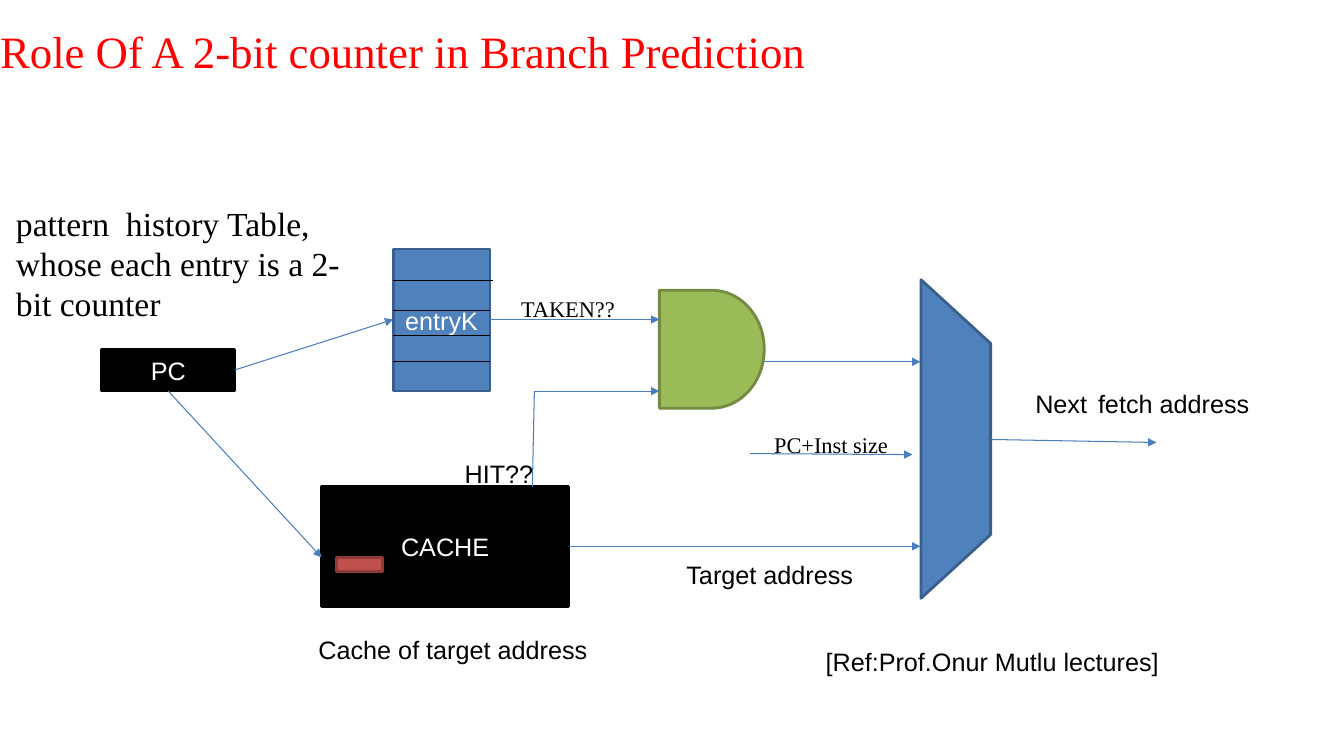
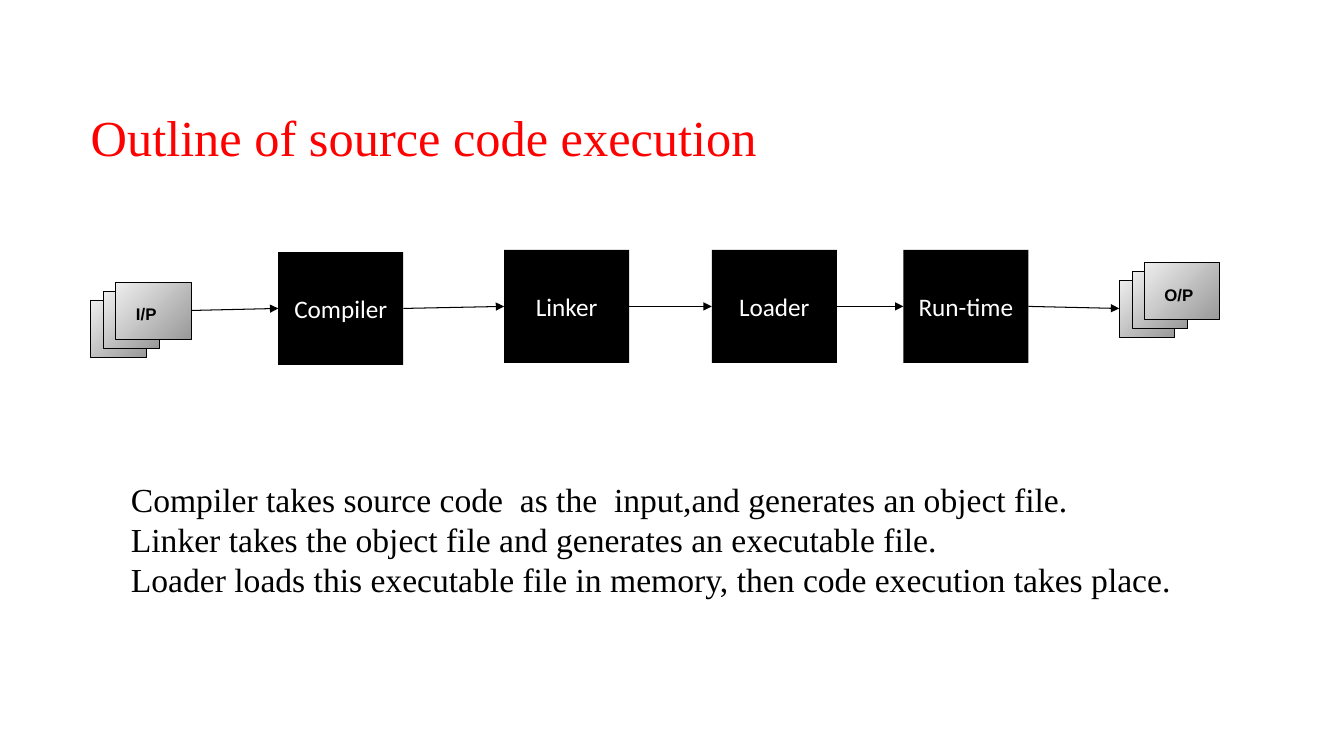
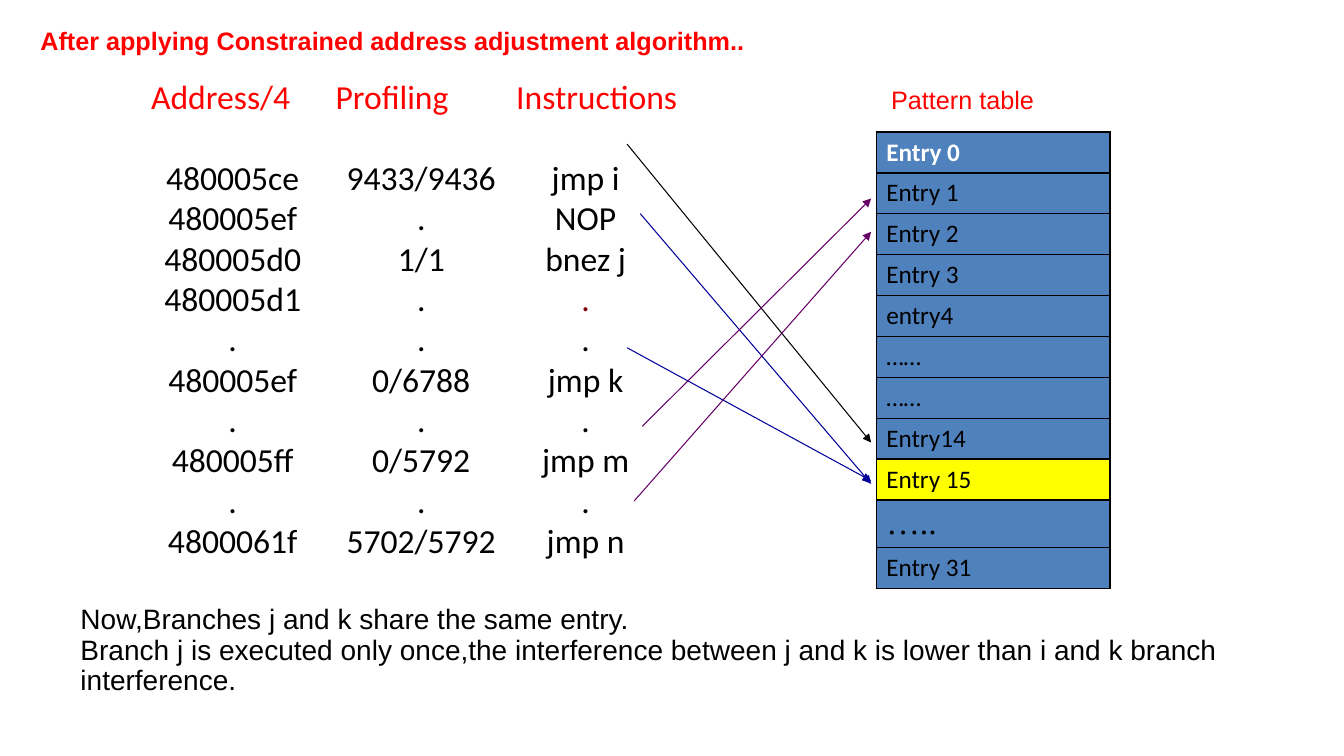
"""Build three slides on branch prediction and source code execution."""
from dataclasses import dataclass

from lxml import etree
from pptx import Presentation
from pptx.dml.color import RGBColor
from pptx.enum.shapes import MSO_CONNECTOR, MSO_SHAPE
from pptx.enum.text import MSO_ANCHOR, MSO_AUTO_SIZE, PP_ALIGN
from pptx.oxml.ns import qn
from pptx.util import Inches, Pt

RECT = MSO_SHAPE.RECTANGLE
DELAY = MSO_SHAPE.FLOWCHART_DELAY
MUX = MSO_SHAPE.FLOWCHART_MANUAL_OPERATION
STRAIGHT = MSO_CONNECTOR.STRAIGHT
LEFT, CENTER, JUSTIFY = PP_ALIGN.LEFT, PP_ALIGN.CENTER, PP_ALIGN.JUSTIFY
TOP, MIDDLE = MSO_ANCHOR.TOP, MSO_ANCHOR.MIDDLE
NO_FIT, GROW = MSO_AUTO_SIZE.NONE, MSO_AUTO_SIZE.SHAPE_TO_FIT_TEXT
TITLE_ONLY = 5


@dataclass(frozen=True)
class Theme:
    """Colours, fonts and type sizes of the deck."""
    red: str = "FF0000"
    black: str = "000000"
    white: str = "FFFFFF"
    blue: str = "4F81BD"
    blue_edge: str = "3A5F8C"
    wire: str = "4B7EBC"
    green: str = "9BBB59"
    green_edge: str = "738A42"
    brick: str = "C0504D"
    brick_edge: str = "8E3B39"
    yellow: str = "FFFF00"
    navy: str = "000099"
    purple: str = "660066"
    maroon: str = "800000"
    page_light: str = "EEEEEE"
    page_dark: str = "999999"
    serif: str = "Times New Roman"
    sans: str = "Arial"
    body: str = "Calibri"
    small: int = 12
    note: int = 16
    label: int = 18
    remark: int = 20
    text: int = 24
    wide_gap: int = 28
    heading: int = 32
    display: int = 36
    hairline: float = 0.75
    edge: float = 2


T = Theme()


@dataclass(frozen=True)
class Style:
    """Type style of a piece of text."""
    size: int = T.label
    font: str = T.sans
    color: str = T.black
    bold: bool = False


@dataclass(frozen=True)
class Box:
    """A preset shape, its place and its label."""
    at: tuple[float, float, float, float]
    fill: str = T.black
    edge: str | None = None
    text: str = ""
    font: str = T.sans
    kind: MSO_SHAPE = RECT
    rotation: int = 0


@dataclass(frozen=True)
class Label:
    """A text box and its type style."""
    at: tuple[float, float, float, float]
    text: str
    style: Style = Style()
    wrap: bool = True
    align: PP_ALIGN = LEFT
    spacing: float = 1.0


@dataclass(frozen=True)
class Wire:
    """A straight line, with an arrowhead unless told otherwise."""
    start: tuple[float, float]
    end: tuple[float, float]
    color: str = T.black
    arrow: bool = True


def rgb(color: str) -> RGBColor:
    """Turn a hex string into a colour."""
    return RGBColor.from_string(color)


def format_run(r, style: Style) -> None:
    """Apply a type style to a run."""
    r.font.size, r.font.name, r.font.bold = Pt(style.size), style.font, style.bold
    r.font.color.rgb = rgb(style.color)


def format_text(tf, style: Style, align: PP_ALIGN = LEFT, spacing: float = 1.0) -> None:
    """Apply a type style and paragraph settings to a whole text frame."""
    for p in tf.paragraphs:
        p.alignment, p.line_spacing = align, spacing
        for r in p.runs:
            format_run(r, style)


def add_slide(prs, title: str, at: tuple, style: Style, margins: tuple = (0.1, 0.05),
              spacing: float = 1.0):
    """Add a title-only slide and place its title."""
    s = prs.slides.add_slide(prs.slide_layouts[TITLE_ONLY])
    sp = s.shapes.title
    sp.left, sp.top, sp.width, sp.height = map(Inches, at)
    tf = sp.text_frame
    tf.text = title
    tf.word_wrap, tf.auto_size, tf.vertical_anchor = True, NO_FIT, TOP
    tf.margin_left = tf.margin_right = Inches(margins[0])
    tf.margin_top = tf.margin_bottom = Inches(margins[1])
    format_text(tf, style, spacing=spacing)
    return s


def add_box(s, box: Box):
    """Draw a preset shape with a centred label."""
    sp = s.shapes.add_shape(box.kind, *map(Inches, box.at))
    sp.shadow.inherit = False
    sp.rotation = box.rotation
    sp.fill.solid()
    sp.fill.fore_color.rgb = rgb(box.fill)
    if box.edge:
        sp.line.color.rgb = rgb(box.edge)
        sp.line.width = Pt(T.edge)
    else:
        sp.line.fill.background()
    if box.text:
        tf = sp.text_frame
        tf.text = box.text
        tf.vertical_anchor = MIDDLE
        format_text(tf, Style(font=box.font, color=T.white), CENTER)
    return sp


def add_label(s, label: Label):
    """Draw a text box and return its text frame."""
    tf = s.shapes.add_textbox(*map(Inches, label.at)).text_frame
    tf.text = label.text
    tf.word_wrap = label.wrap
    tf.auto_size = NO_FIT if label.wrap else GROW
    format_text(tf, label.style, label.align, label.spacing)
    return tf


def add_wire(s, wire: Wire) -> None:
    """Draw a straight line or arrow."""
    c = s.shapes.add_connector(STRAIGHT, *map(Inches, wire.start + wire.end))
    c.line.color.rgb = rgb(wire.color)
    c.line.width = Pt(T.hairline)
    properties = c.line._get_or_add_ln().getparent()
    if wire.arrow:
        etree.SubElement(properties.find(qn("a:ln")), qn("a:tailEnd"), type="triangle")
    etree.SubElement(properties, qn("a:effectLst"))


def add_pages(s, left: float, top: float, text: str, text_top: float) -> None:
    """Draw a stack of three pages with a caption on the front one."""
    for dx, dy, width in ((0, 0.18, 0.55), (0.13, 0.09, 0.55), (0.25, 0, 0.75)):
        sp = add_box(s, Box((left + dx, top + dy, width, 0.57)))
        sp.fill.gradient()
        sp.fill.gradient_angle = 315
        for stop, color in zip(sp.fill.gradient_stops, (T.page_light, T.page_dark)):
            stop.color.rgb = rgb(color)
        sp.line.color.rgb = rgb(T.black)
        sp.line.width = Pt(T.hairline)
    add_label(s, Label((left + 0.35, text_top, 0.55, 0.28), text, Style(T.small, bold=True)))


def set_tabs(p, centers: tuple[float, ...]) -> None:
    """Give a paragraph centred tab stops."""
    tabs = etree.SubElement(p._p.get_or_add_pPr(), qn("a:tabLst"))
    for center in centers:
        etree.SubElement(tabs, qn("a:tab"), pos=str(Inches(center)), algn="ctr")


def set_borders(cell) -> None:
    """Give a table cell thin black borders."""
    properties = cell._tc.get_or_add_tcPr()
    for i, side in enumerate(("lnL", "lnR", "lnT", "lnB")):
        ln = etree.Element(qn(f"a:{side}"), w=str(Pt(1)))
        fill = etree.SubElement(ln, qn("a:solidFill"))
        etree.SubElement(fill, qn("a:srgbClr"), val=T.black)
        properties.insert(i, ln)


def build_counter(prs) -> None:
    """Build the slide on the 2-bit counter."""
    s = add_slide(prs, "Role Of A 2-bit counter in Branch Prediction", (0, 0.3, 12, 1.25),
                  Style(T.heading, T.serif, T.red), (0, 0), 0.9)
    for box in (
        Box((1.01, 3.47, 1.32, 0.41), T.black, T.black, "PC"),
        Box((3.9, 2.47, 0.96, 1.41), T.blue, T.blue_edge, "entryK"),
        Box((3.19, 4.83, 2.45, 1.19), T.black, T.black, "CACHE"),
        Box((3.34, 5.53, 0.45, 0.14), T.brick, T.brick_edge),
        Box((6.54, 2.88, 1.04, 1.17), T.green, T.green_edge, kind=DELAY),
        Box((7.9, 4.01, 3.16, 0.69), T.blue, T.blue_edge, kind=MUX, rotation=270),
    ):
        add_box(s, box)
    for y, right in ((2.78, 4.89), (3.08, 4.86), (3.33, 4.86), (3.59, 4.86)):
        add_wire(s, Wire((3.9, y), (right, y), arrow=False))
    for start, end in (
        ((2.33, 3.67), (3.9, 3.17)),
        ((1.67, 3.88), (3.19, 5.53)),
        ((4.86, 3.17), (6.54, 3.17)),
        ((5.3, 3.88), (6.54, 3.88)),
        ((7.58, 3.59), (9.13, 3.59)),
        ((7.44, 4.5), (9.05, 4.51)),
        ((5.64, 5.42), (9.13, 5.42)),
        ((9.83, 4.36), (11.47, 4.39)),
    ):
        add_wire(s, Wire(start, end, T.wire))
    add_wire(s, Wire((5.28, 4.83), (5.3, 3.88), T.wire, arrow=False))
    note = Style(T.note, T.serif)
    for label in (
        Label((7.58, 4.23, 1.35, 0.37), "PC+Inst size", note, wrap=False),
        Label((5.07, 2.88, 1.14, 0.37), "TAKEN??", note, wrap=False),
        Label((3.06, 6.24, 2.89, 0.4), "Cache of target address", wrap=False),
        Label((4.51, 4.5, 0.89, 0.4), "HIT??", wrap=False),
        Label((8.09, 6.36, 3.54, 0.4), "[Ref:Prof.Onur Mutlu lectures]", wrap=False),
        Label((6.71, 5.5, 1.87, 0.4), "Target address", wrap=False),
        Label((0.06, 1.96, 3.72, 1.31),
              "pattern  history Table, whose each entry is a 2-bit counter",
              Style(T.text, T.serif)),
    ):
        add_label(s, label)
    tf = add_label(s, Label((10.17, 3.66, 2.34, 0.57), "Next", wrap=False))
    for text, size in ((" ", T.wide_gap), ("fetch address", T.label)):
        r = tf.paragraphs[0].add_run()
        r.text = text
        format_run(r, Style(size))


def build_outline(prs) -> None:
    """Build the slide on the stages of source code execution."""
    s = add_slide(prs, "Outline of source code execution", (0.8, 1, 7.41, 0.78),
                  Style(T.display, T.serif, T.red))
    for text, left, top in (("Compiler", 2.76, 2.5), ("Linker", 5, 2.48),
                            ("Loader", 7.06, 2.48), ("Run-time", 8.96, 2.48)):
        add_box(s, Box((left, top, 1.24, 1.12), text=text, font=T.body))
    add_pages(s, 0.9, 2.8, "I/P", 2.96)
    add_pages(s, 11.1, 2.6, "O/P", 2.78)
    for start, end in (
        ((1.9, 3.08), (2.76, 3.06)),
        ((4, 3.06), (5, 3.04)),
        ((6.24, 3.04), (7.06, 3.04)),
        ((8.3, 3.04), (8.96, 3.04)),
        ((10.2, 3.04), (11.1, 3.06)),
    ):
        add_wire(s, Wire(start, end))
    add_label(s, Label(
        (1.2, 4.7, 11, 2.2),
        "Compiler takes source code  as the  input,and generates an object file.\n"
        "Linker takes the object file and generates an executable file.\n"
        "Loader loads this executable file in memory, then code execution takes place.",
        Style(T.text, T.serif), align=JUSTIFY))


def add_listing(s) -> None:
    """Write the instruction listing in three tabbed columns."""
    rows = (
        ("Address/4", "Profiling", "Instructions"),
        ("480005ce", "9433/9436", "jmp i"),
        ("480005ef", ".", "NOP"),
        ("480005d0", "1/1", "bnez j"),
        ("480005d1", ".", "."),
        (".", ".", "."),
        ("480005ef", "0/6788", "jmp k"),
        (".", ".", "."),
        ("480005ff", "0/5792", "jmp m"),
        (".", ".", "."),
        ("4800061f", "5702/5792", "jmp n"),
    )
    style = Style(T.text, T.body)
    tf = add_label(s, Label((1.4, 0.7, 5.78, 4.97), "", style))
    for i, row in enumerate(rows):
        p = tf.paragraphs[0] if i == 0 else tf.add_paragraph()
        for text in row:
            r = p.add_run()
            r.text = "\t" + text
            format_run(r, style)
        if i == 0:
            p.space_after = Pt(29.3)
            for r in p.runs:
                r.font.color.rgb = rgb(T.red)
        set_tabs(p, (0.69, 2.39, 4.42) if i == 0 else (0.81, 2.68, 4.31))
    tf.paragraphs[4].runs[-1].font.color.rgb = rgb(T.maroon)


def add_pattern_table(s) -> None:
    """Draw the pattern table with the shared entry highlighted."""
    entries = ("Entry 0", "Entry 1", "Entry 2", "Entry 3", "entry4", "……", "……",
               "Entry14", "Entry 15", "…..", "Entry 31")
    special = {"Entry 0": Style(font=T.body, color=T.white, bold=True),
               "…..": Style(T.text, T.serif)}
    table = s.shapes.add_table(len(entries), 1, *map(Inches, (8.69, 1.31, 2.32, 4.51))).table
    for i, text in enumerate(entries):
        table.rows[i].height = Inches(0.47 if text == "….." else 0.4)
        cell = table.cell(i, 0)
        cell.text = text
        cell.fill.solid()
        cell.fill.fore_color.rgb = rgb(T.yellow if text == "Entry 15" else T.blue)
        format_text(cell.text_frame, special.get(text, Style(font=T.body)))
        set_borders(cell)


def build_adjustment(prs) -> None:
    """Build the slide on address adjustment."""
    s = add_slide(prs, "After applying Constrained address adjustment algorithm..",
                  (0.3, 0.2, 8.9, 0.38), Style(color=T.red, bold=True))
    add_pattern_table(s)
    add_listing(s)
    add_label(s, Label((8.74, 0.79, 2.11, 0.38), "Pattern table", Style(color=T.red)))
    for wire in (
        Wire((6.22, 3.45), (8.64, 4.77), T.navy),
        Wire((6.35, 2.12), (8.64, 4.8), T.navy),
        Wire((6.22, 1.43), (8.64, 4.39)),
        Wire((6.37, 4.23), (8.64, 1.97), T.purple),
        Wire((6.29, 4.97), (8.64, 2.3), T.purple),
    ):
        add_wire(s, wire)
    add_label(s, Label(
        (0.7, 5.96, 12.4, 0.97),
        "Now,Branches j and k share the same entry.\n"
        "Branch j is executed only once,the interference between j and k is lower "
        "than i and k branch interference.",
        Style(T.remark), spacing=0.9))


def main() -> None:
    """Build and save the deck."""
    prs = Presentation()
    prs.slide_width, prs.slide_height = Inches(13.33), Inches(7.5)
    build_counter(prs)
    build_outline(prs)
    build_adjustment(prs)
    prs.save("out.pptx")


main()
